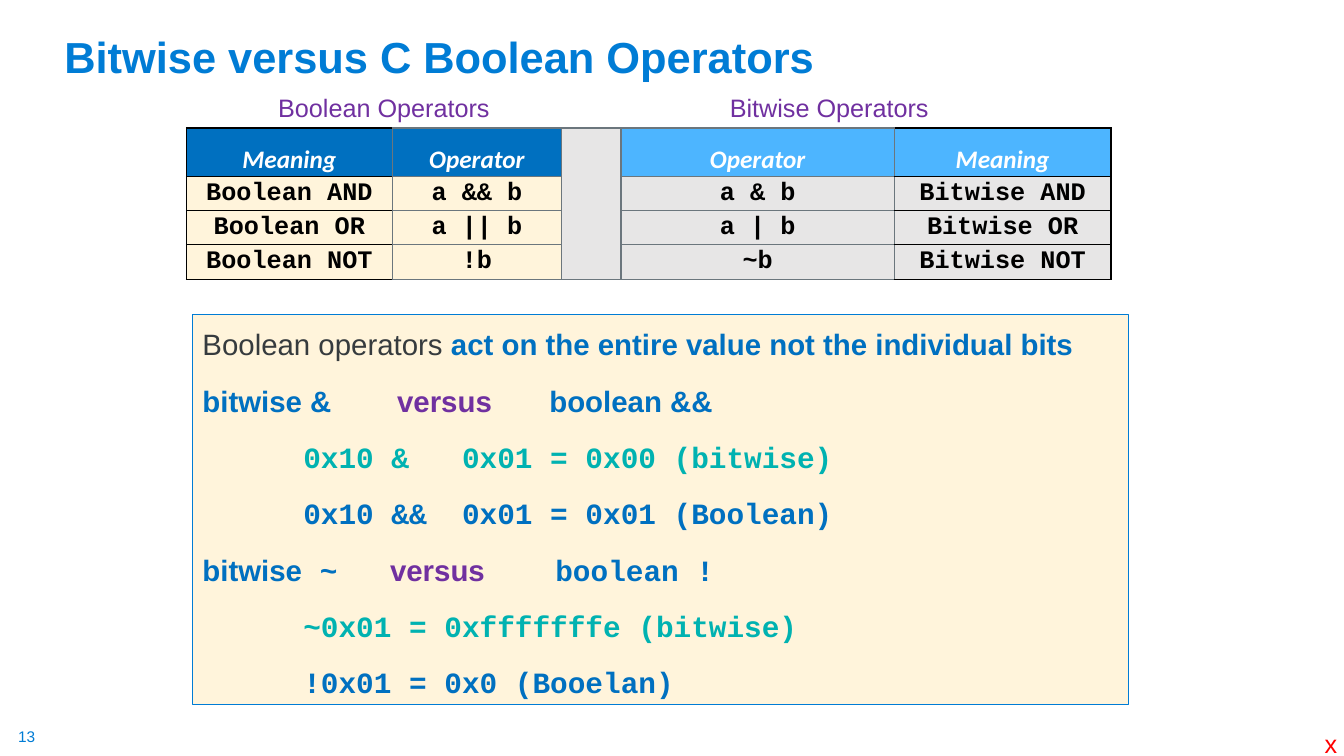
from lxml import etree
from pptx import Presentation
from pptx.dml.color import RGBColor
from pptx.enum.shapes import MSO_SHAPE
from pptx.enum.text import MSO_ANCHOR, PP_ALIGN
from pptx.oxml.ns import qn
from pptx.util import Inches, Pt

RECT = MSO_SHAPE.RECTANGLE
TOP, MIDDLE, BOTTOM = MSO_ANCHOR.TOP, MSO_ANCHOR.MIDDLE, MSO_ANCHOR.BOTTOM
LEFT, CENTER = PP_ALIGN.LEFT, PP_ALIGN.CENTER

SKY, BLUE, PURPLE, TEAL = "007CD5", "0070C0", "7030A0", "00B2B1"
CREAM, GREY, PALE, EDGE = "FFF4DB", "E7E6E6", "4DB5FF", "6B767D"
BLACK, WHITE, INK, RED = "000000", "FFFFFF", "363B3E", "FF0000"
SANS, MONO, HEAD = "Arial", "Courier New", "Calibri"

COLS = [2.04, 1.68, 0.59, 2.71, 2.15]
ROWS = [0.48, 0.32, 0.32, 0.32]
GAP = 2  # empty column between the two halves
CELLS = [
    ["Meaning", "Operator", "", "Operator", "Meaning"],
    ["Boolean AND", "a && b", "", "a & b", "Bitwise AND"],
    ["Boolean OR", "a || b", "", "a | b", "Bitwise OR"],
    ["Boolean NOT", "!b", "", "~b", "Bitwise NOT"],
]

# Each line: tab stops in inches, then runs of text, colour, font, bold
LINES = [
    ([], [("Boolean operators ", INK, SANS, False),
          ("act on the entire value not the individual bits", BLUE, SANS, True)]),
    ([1.93, 3.44], [("bitwise &\t", BLUE, SANS, True),
                    ("versus\t", PURPLE, SANS, True),
                    ("boolean &&", BLUE, SANS, True)]),
    ([1], [("\t0x10 &   0x01 = 0x00 (bitwise)", TEAL, MONO, True)]),
    ([1], [("\t0x10 &&  0x01 = 0x01 (Boolean)", BLUE, MONO, True)]),
    ([1.86, 3.5], [("bitwise", BLUE, SANS, True),
                   (" ~\t", BLUE, MONO, True),
                   ("versus\t", PURPLE, SANS, True),
                   ("boolean !", BLUE, MONO, True)]),
    ([1], [("\t~0x01 = 0xfffffffe (bitwise)", TEAL, MONO, True)]),
    ([1], [("\t!0x01 = 0x0 (Booelan)", BLUE, MONO, True)]),
]


def color(value):
    return RGBColor.from_string(value)


def add_run(para, text, tint, **form):
    run = para.add_run()
    run.text = text
    run.font.color.rgb = color(tint)
    for key, value in form.items():
        setattr(run.font, key, value)


def add_label(slide, box, text, tint, size, inset=(0.1, 0.05), wrap=False,
              anchor=TOP, spacing=1.0, bold=False):
    frame = slide.shapes.add_textbox(*map(Inches, box)).text_frame
    across, down = map(Inches, inset)
    form = {"word_wrap": wrap, "vertical_anchor": anchor,
            "margin_left": across, "margin_right": across,
            "margin_top": down, "margin_bottom": down}
    for key, value in form.items():
        setattr(frame, key, value)
    para = frame.paragraphs[0]
    para.line_spacing = spacing
    add_run(para, text, tint, size=Pt(size), name=SANS, bold=bold)


def add_edges(cell, edges):
    """Draw the cell borders; a side without a colour stays open."""
    props = cell._tc.get_or_add_tcPr()
    for spot, side in enumerate("LRTB"):
        line = etree.Element(qn(f"a:ln{side}"), w=str(Pt(1)))
        tint = edges.get(side)
        fill = etree.SubElement(line, qn("a:solidFill" if tint else "a:noFill"))
        if tint:
            etree.SubElement(fill, qn("a:srgbClr"), val=tint)
        props.insert(spot, line)


def pick_edges(row, col):
    if col == GAP:
        edges = {"L": EDGE, "R": EDGE}
        if row == 0:
            edges["T"] = EDGE
        if row == len(ROWS) - 1:
            edges["B"] = EDGE
        return edges
    edges = dict.fromkeys("LRTB", EDGE)
    if col in (0, len(COLS) - 1):
        edges.update(dict.fromkeys("LTB" if col == 0 else "RTB", BLACK))
    return edges


def pick_fill(row, col):
    if col == GAP:
        return GREY
    if row == 0:
        return BLUE if col < GAP else PALE
    return CREAM if col < GAP else GREY


def fill_cell(cell, row, col):
    head = row == 0
    pad = Inches(0.01 if head else 0.02)
    form = {"margin_left": Inches(0.08), "margin_right": Inches(0.08),
            "margin_top": pad, "margin_bottom": pad, "vertical_anchor": MIDDLE}
    for key, value in form.items():
        setattr(cell, key, value)
    cell.fill.solid()
    cell.fill.fore_color.rgb = color(pick_fill(row, col))
    para = cell.text_frame.paragraphs[0]
    para.alignment = CENTER
    para.line_spacing = 1.5 if head else 1.0
    add_run(para, CELLS[row][col], WHITE if head else BLACK,
            size=Pt(18 if col != GAP else 12), name=HEAD if head else MONO,
            bold=True, italic=head)
    add_edges(cell, pick_edges(row, col))


def add_grid(slide, left, top):
    """Place the operator table with a heading over each half."""
    add_label(slide, (left + 0.81, top - 0.4, 2.32, 0.4),
              "Boolean Operators", PURPLE, 18)
    add_label(slide, (left + 5.29, top - 0.4, 2.19, 0.4),
              "Bitwise Operators", PURPLE, 18)
    box = (left, top, sum(COLS), sum(ROWS))
    table = slide.shapes.add_table(len(ROWS), len(COLS), *map(Inches, box)).table
    for col, width in zip(table.columns, COLS):
        col.width = Inches(width)
    for row, height in zip(table.rows, ROWS):
        row.height = Inches(height)
    for row in range(len(ROWS)):
        for col in range(len(COLS)):
            fill_cell(table.cell(row, col), row, col)


def add_tabs(para, stops):
    tabs = etree.SubElement(para._p.get_or_add_pPr(), qn("a:tabLst"))
    for stop in stops:
        etree.SubElement(tabs, qn("a:tab"), pos=str(Inches(stop)), algn="l")


def add_notes_box(slide, box):
    """Place the framed comparison of the two kinds of operator."""
    panel = slide.shapes.add_shape(RECT, *map(Inches, box))
    panel.shadow.inherit = False
    panel.fill.solid()
    panel.fill.fore_color.rgb = color(CREAM)
    panel.line.color.rgb = color(SKY)
    panel.line.width = Pt(0.75)
    frame = panel.text_frame
    frame.word_wrap = True
    frame.vertical_anchor = TOP
    for spot, (stops, runs) in enumerate(LINES):
        para = frame.add_paragraph() if spot else frame.paragraphs[0]
        para.alignment = LEFT
        para.line_spacing = 1.2
        para.space_before = Pt(10 if spot else 0)
        if stops:
            add_tabs(para, stops)
        for text, tint, name, bold in runs:
            add_run(para, text, tint, size=Pt(21), name=name, bold=bold)


def main():
    deck = Presentation()
    deck.slide_width, deck.slide_height = Inches(13.33), Inches(7.5)
    slide = deck.slides.add_slide(deck.slide_layouts[6])
    add_label(slide, (0.18, 7.21, 0.19, 0.19), "13", SKY, 11, inset=(0, 0))
    add_notes_box(slide, (1.91, 3.12, 9.28, 3.87))
    add_label(slide, (0.54, 0.09, 11.5, 0.78), "Bitwise versus C Boolean Operators",
              SKY, 31, wrap=True, anchor=BOTTOM, spacing=0.9, bold=True)
    add_grid(slide, 1.85, 1.27)
    add_label(slide, (13.04, 7.18, 0.33, 0.4), "x", RED, 18)
    deck.save("out.pptx")


if __name__ == "__main__":
    main()
